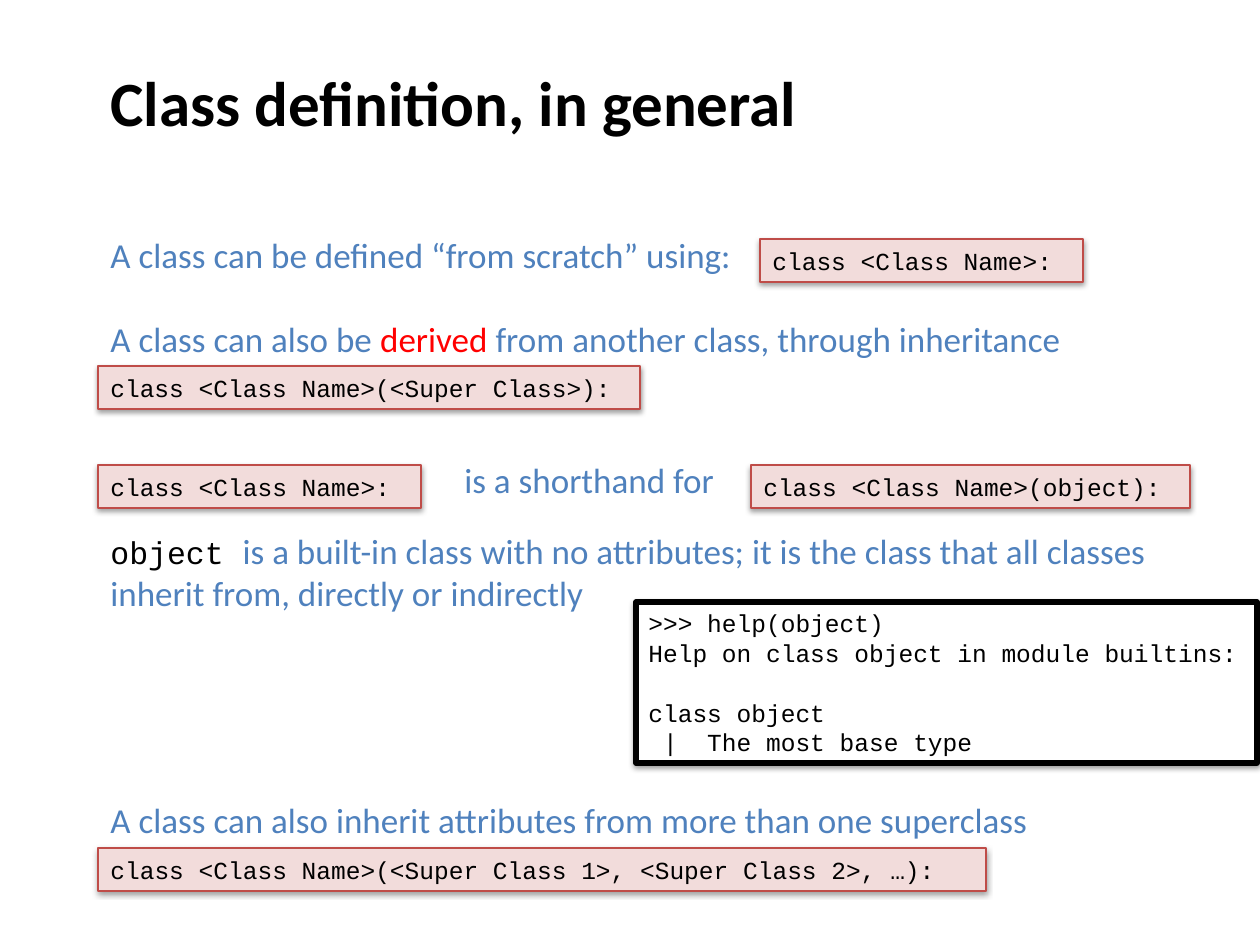
from lxml import etree
from pptx import Presentation
from pptx.dml.color import RGBColor
from pptx.enum.shapes import MSO_SHAPE
from pptx.enum.text import MSO_ANCHOR, MSO_AUTO_SIZE, PP_ALIGN
from pptx.oxml.ns import qn
from pptx.util import Emu, Pt

PX = 914400 / 126
RECTANGLE = MSO_SHAPE.RECTANGLE
MIDDLE = MSO_ANCHOR.MIDDLE
NO_AUTOFIT = MSO_AUTO_SIZE.NONE
LEFT = PP_ALIGN.LEFT

BLACK = RGBColor(0x00, 0x00, 0x00)
WHITE = RGBColor(0xFF, 0xFF, 0xFF)
BLUE = RGBColor(0x4F, 0x81, 0xBD)
RED = RGBColor(0xFF, 0x00, 0x00)
PINK = RGBColor(0xF2, 0xDC, 0xDB)
BRICK = RGBColor(0xBF, 0x4C, 0x48)

BODY_FONT, CODE_FONT = "Calibri", "Courier New"
MARGIN = 98
CODE_HEIGHT, LINE_HEIGHT = 43, 55
CONSOLE_PITCH = 17


def px(*lengths):
    """Turn pixel lengths into EMU."""
    return [Emu(round(length * PX)) for length in lengths]


def add_run(paragraph, text, size=20, font=BODY_FONT, color=BLUE, bold=False):
    """Append one formatted run."""
    run = paragraph.add_run()
    run.text = text
    run.font.size = Pt(size)
    run.font.name = font
    run.font.color.rgb = color
    run.font.bold = bold


def prepare_frame(frame, wrap=True):
    """Set the anchoring and wrapping of a text frame; return its first paragraph."""
    frame.auto_size = NO_AUTOFIT
    frame.word_wrap = wrap
    frame.vertical_anchor = MIDDLE
    first = frame.paragraphs[0]
    first.alignment = LEFT
    return first


def add_title(slide, text):
    """Place and format the slide title."""
    title = slide.shapes.title
    title.left, title.top, title.width, title.height = px(MARGIN, 0, 1099, 203)
    add_run(prepare_frame(title.text_frame), text, 36, color=BLACK, bold=True)


def add_statement(slide, left, top, width, runs, height=LINE_HEIGHT, wrap=False):
    """Add explanatory text; each run is its text and any formatting changes."""
    statement = slide.shapes.add_textbox(*px(left, top, width, height))
    paragraph = prepare_frame(statement.text_frame, wrap)
    for text, formatting in runs:
        add_run(paragraph, text, **formatting)


def add_shadow(shape):
    """Give a shape a soft shadow that falls straight down."""
    shape.shadow.inherit = False
    effects = shape._element.spPr.find(qn("a:effectLst"))
    shadow = etree.SubElement(effects, qn("a:outerShdw"), blurRad="40000",
                              dist="20000", dir="5400000", rotWithShape="0")
    color = etree.SubElement(shadow, qn("a:srgbClr"), val=str(BLACK))
    etree.SubElement(color, qn("a:alpha"), val="38000")


def add_panel(slide, left, top, width, height, fill, outline, weight):
    """Add a shadowed rectangle; return its first paragraph and text frame."""
    panel = slide.shapes.add_shape(RECTANGLE, *px(left, top, width, height))
    panel.fill.solid()
    panel.fill.fore_color.rgb = fill
    panel.line.color.rgb = outline
    panel.line.width = Pt(weight)
    add_shadow(panel)
    return prepare_frame(panel.text_frame), panel.text_frame


def add_code(slide, left, top, width, code):
    """Add a pink box with one line of code."""
    paragraph, _ = add_panel(slide, left, top, width, CODE_HEIGHT, PINK, BRICK, 0.75)
    add_run(paragraph, code, 14, CODE_FONT, BLACK)


def add_console(slide, left, top, width, height, blocks):
    """Add a console box whose blocks of lines are one line apart."""
    paragraph, frame = add_panel(slide, left, top, width, height, WHITE, BLACK, 3)
    for block_index, block in enumerate(blocks):
        for line_index, line in enumerate(block):
            if block_index or line_index:
                paragraph = frame.add_paragraph()
                paragraph.alignment = LEFT
            if block_index and not line_index:
                paragraph.space_before = Pt(CONSOLE_PITCH)
            paragraph.line_spacing = Pt(CONSOLE_PITCH)
            add_run(paragraph, line, 14, CODE_FONT, BLACK)


def main():
    """Build the slide on class definitions."""
    deck = Presentation()
    deck.slide_width, deck.slide_height = px(1260, 945)
    slide = deck.slides.add_slide(deck.slide_layouts[5])
    add_title(slide, "Class definition, in general")

    for left, top, width, code in (
        (760, 239, 323, "class <Class Name>:"),
        (MARGIN, 366, 542, "class <Class Name>(<Super Class>):"),
        (MARGIN, 848, 888, "class <Class Name>(<Super Class 1>, <Super Class 2>, …):"),
        (MARGIN, 465, 323, "class <Class Name>:"),
        (751, 465, 439, "class <Class Name>(object):"),
    ):
        add_code(slide, left, top, width, code)

    for left, top, width, runs in (
        (MARGIN, 227, 654, [("A class can be defined “from scratch” using:", {})]),
        (MARGIN, 311, 985, [("A class can also be ", {}),
                            ("derived ", {"color": RED}),
                            ("from another class, through inheritance", {})]),
        (MARGIN, 792, 960,
         [("A class can also inherit attributes from more than one superclass", {})]),
        (452, 452, 278, [("is a shorthand for", {})]),
    ):
        add_statement(slide, left, top, width, runs)

    add_statement(slide, MARGIN, 523, 1131, [
        ("object ", {"size": 18, "font": CODE_FONT, "color": BLACK}),
        ("is a built-in class with no attributes; it is the class that all classes "
         "inherit from, directly or indirectly", {}),
    ], height=97, wrap=True)

    add_console(slide, 636, 602, 621, 161, [
        [">>> help(object)", "Help on class object in module builtins:"],
        ["class object", " |  The most base type"],
    ])
    deck.save("out.pptx")


main()
